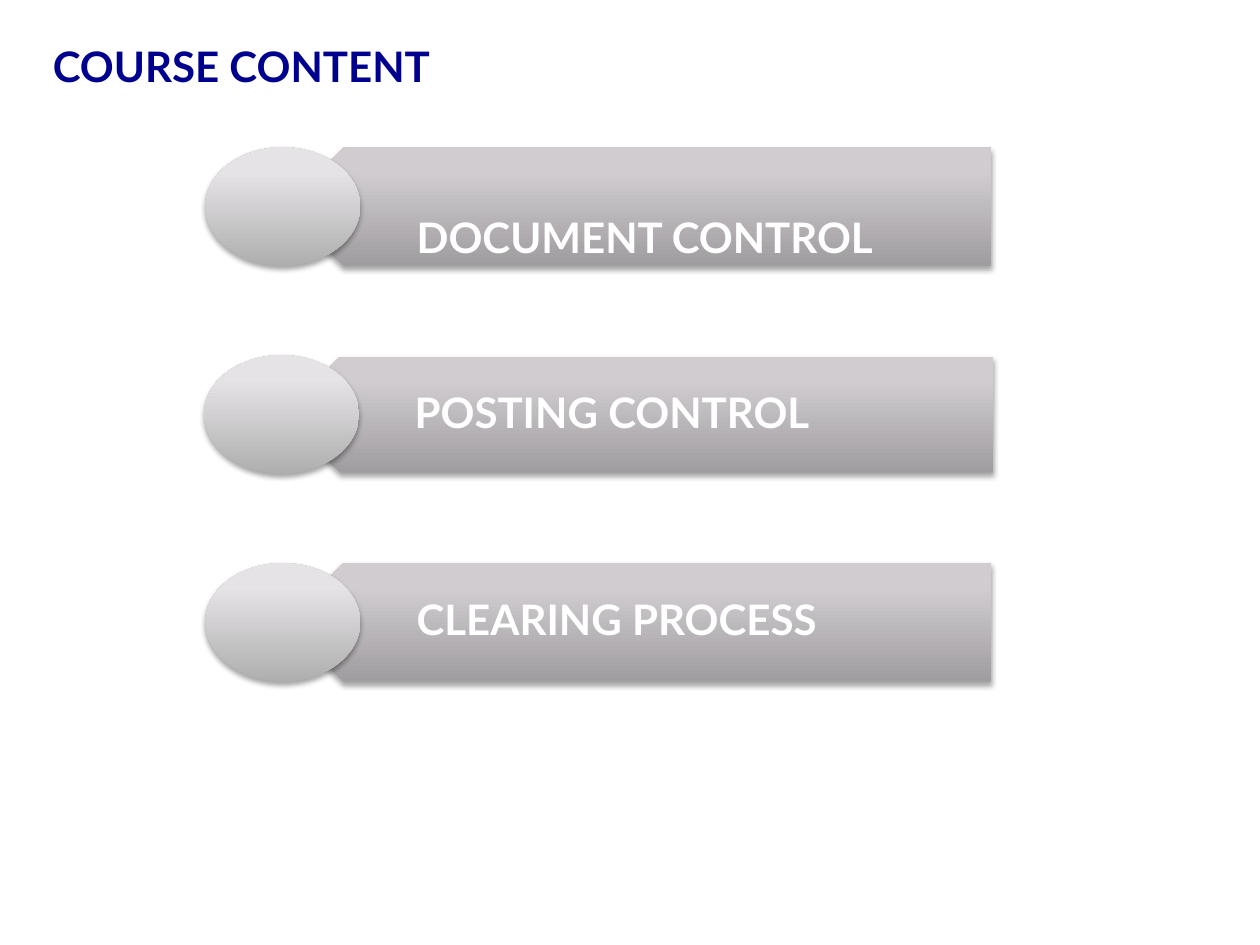
from lxml.etree import fromstring
from pptx import Presentation
from pptx.dml.color import RGBColor as RGB
from pptx.enum.shapes import MSO_SHAPE as Shape
from pptx.enum.text import MSO_ANCHOR as Anchor, PP_ALIGN as Align
from pptx.util import Pt

TITLE = "COURSE CONTENT"
# label, bar (left, top, width, height), disc (left, top), drop of the label
ROWS = [
    ("DOCUMENT CONTROL", (162.5, 84.2, 404, 67.7), (117.3, 84.2), 19),
    ("POSTING CONTROL", (161.3, 203.8, 406, 66.2), (116.6, 203), 0),
    ("CLEARING PROCESS", (162.5, 321.8, 404, 67.7), (117.3, 321.8), 0),
]
DISC = (88.6, 67.7)
THEME = {
    "title": {"name": "Lato", "size": Pt(24), "bold": True, "color": "00008E"},
    "label": {"name": "Lato", "size": Pt(24), "bold": True, "color": "FFFFFF"},
    "bar": [(0, "A09DA0"), (80, "D0CCD0"), (100, "D1CDD1")],
    "disc": [(0, "B0AFB0"), (80, "E5E3E5"), (100, "E6E4E6")],
}
NS = 'xmlns:a="http://schemas.openxmlformats.org/drawingml/2006/main"'
SHADOW = (
    f'<a:effectLst {NS}><a:outerShdw blurRad="39370" dist="22860" '
    'dir="5400000" rotWithShape="0"><a:srgbClr val="000000">'
    '<a:alpha val="35000"/></a:srgbClr></a:outerShdw></a:effectLst>'
)


def write(shape, text, style, insets):
    frame = shape.text_frame
    frame.word_wrap = True
    frame.vertical_anchor = Anchor.MIDDLE
    for side, gap in zip(("left", "top", "right", "bottom"), insets):
        setattr(frame, f"margin_{side}", Pt(gap))
    para = frame.paragraphs[0]
    para.alignment, para.line_spacing = Align.LEFT, 0.9
    run = para.add_run()
    run.text = text
    for key, value in THEME[style].items():
        if key == "color":
            run.font.color.rgb = RGB.from_string(value)
        else:
            setattr(run.font, key, value)


def add_solid(slide, kind, box, style, turn=0):
    """Add a shape with an upright gradient and a soft shadow below."""
    shape = slide.shapes.add_shape(kind, *map(Pt, box))
    shape.rotation = turn
    shape.line.fill.background()
    stops = "".join(
        f'<a:gs pos="{pos * 1000}"><a:srgbClr val="{color}"/></a:gs>'
        for pos, color in THEME[style]
    )
    props = shape.element.spPr
    props.find("{*}prstGeom").addnext(fromstring(
        f'<a:gradFill {NS} rotWithShape="0"><a:gsLst>{stops}</a:gsLst>'
        '<a:lin ang="16200000" scaled="0"/></a:gradFill>'))
    props.append(fromstring(SHADOW))


def main():
    deck = Presentation()
    deck.slide_width, deck.slide_height = Pt(720), Pt(540)
    slide = deck.slides.add_slide(deck.slide_layouts[5])

    title = slide.shapes.title
    title.left, title.top, title.width, title.height = map(
        Pt, (15.8, 18, 659.5, 43.2))
    write(title, TITLE, "title", (14.4, 2.9, 8.6, 2.9))

    for label, bar, disc, drop in ROWS:
        add_solid(slide, Shape.PENTAGON, bar, "bar", 180)
        left, top, width, height = bar
        box = slide.shapes.add_textbox(
            *map(Pt, (left, top + drop, width, height)))
        write(box, label, "label", (75.6, 7.2, 13.7, 7.2))
        add_solid(slide, Shape.OVAL, disc + DISC, "disc")

    deck.save("out.pptx")


if __name__ == "__main__":
    main()
